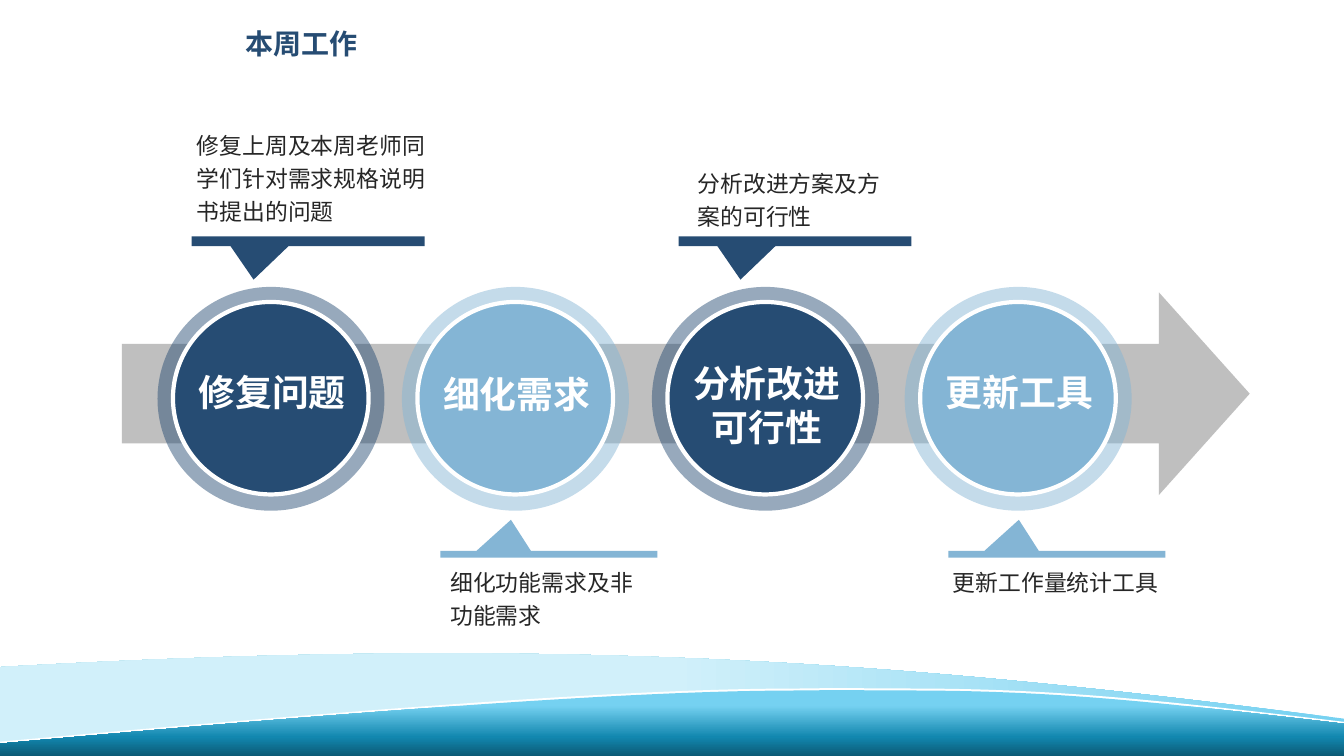
from lxml import etree
from pptx import Presentation, util as u
from pptx.dml.color import RGBColor
from pptx.enum import shapes, text
from pptx.oxml import parse_xml
from pptx.oxml.ns import nsdecls, qn

INK = {
    "navy": "264C73", "sky": "84B5D5", "grey": "BFBFBF", "white": "FFFFFF",
    "text": "262626", "pale": "D1F0FA", "aqua": "75D1F1", "teal": "1287AF",
    "deep": "0C5A75",
}
SANS = "Noto Sans CJK SC"
KIND = shapes.MSO_SHAPE


def shift(points, down):
    return [(x, y + down) for x, y in points]


def arcs(points):
    return [points[i:i + 3] for i in range(0, len(points), 3)]


class Deck:
    def __init__(self, wide, high):
        self.show = Presentation()
        self.show.slide_width = u.Cm(wide)
        self.show.slide_height = u.Cm(high)
        self.slide = self.show.slides.add_slide(self.show.slide_layouts[6])
        self.items = self.slide.shapes

    def color(self, name):
        return RGBColor.from_string(INK[name])

    def paint(self, item, fill, alpha=None, line=None):
        item.shadow.inherit = False
        item.fill.solid()
        item.fill.fore_color.rgb = self.color(fill)
        if alpha:
            tint = item._element.spPr.find(qn("a:solidFill"))[0]
            etree.SubElement(tint, qn("a:alpha"), val=str(alpha * 1000))
        if line:
            item.line.color.rgb = self.color(line)
            item.line.width = u.Pt(3)
        else:
            item.line.fill.background()

    def shape(self, kind, box, fill, adjust=(), turn=0, **look):
        item = self.items.add_shape(kind, *map(u.Cm, box))
        item.rotation = turn
        for i, value in enumerate(adjust):
            item.adjustments[i] = value
        self.paint(item, fill, **look)

    def wave(self, box, start, parts, fill, stops=(), angle=0):
        left, top, wide, high = map(u.Cm, box)
        pen = self.items.build_freeform(left, top)
        pen.add_line_segments([(left + wide, top), (left + wide, top + high),
                               (left, top + high)])
        item = pen.convert_to_shape()
        self.paint(item, fill)
        props = item._element.spPr
        track = next(props.iter(qn("a:path")))
        for node in list(track):
            track.remove(node)
        tags = {1: "a:lnTo", 3: "a:cubicBezTo"}
        moves = [("a:moveTo", [start])] + [(tags[len(part)], part) for part in parts]
        for tag, points in moves:
            move = etree.SubElement(track, qn(tag))
            for x, y in points:
                etree.SubElement(move, qn("a:pt"), x=str(u.Cm(x) - left),
                                 y=str(u.Cm(y) - top))
        etree.SubElement(track, qn("a:close"))
        if stops:
            marks = "".join(
                f'<a:gs pos="{at * 1000}"><a:srgbClr val="{INK[name]}"/></a:gs>'
                for at, name in stops)
            props.replace(props.find(qn("a:solidFill")), parse_xml(
                f'<a:gradFill {nsdecls("a")} rotWithShape="1"><a:gsLst>{marks}</a:gsLst>'
                f'<a:lin ang="{angle * 60000}" scaled="0"/></a:gradFill>'))

    def words(self, box, lines, size, color, font=SANS, bold=False,
              align=None, space=None, pad=(0.25, 0.13), wrap=True, grow=True):
        frame = self.items.add_textbox(*map(u.Cm, box)).text_frame
        frame.word_wrap = wrap
        if grow:
            frame.auto_size = text.MSO_AUTO_SIZE.SHAPE_TO_FIT_TEXT
        frame.margin_left = frame.margin_right = u.Cm(pad[0])
        frame.margin_top = frame.margin_bottom = u.Cm(pad[1])
        frame.text = lines
        for para in frame.paragraphs:
            para.alignment = align
            para.line_spacing = space
            para.font.size = u.Pt(size)
            para.font.bold = bold
            para.font.color.rgb = self.color(color)
            para.font.name = font
            props = para._p.pPr.find(qn("a:defRPr"))
            etree.SubElement(props, qn("a:ea"), typeface=SANS)

    def step(self, left, label, top, fill):
        self.shape(KIND.OVAL, (left, 7.23, 5.72, 5.64), fill, alpha=48)
        self.shape(KIND.OVAL, (left + 0.39, 7.61, 4.93, 4.85), fill, line="white")
        self.words((left - 0.26, top, 6.3, 1.98), label, 26.3, "white", bold=True,
                   align=text.PP_ALIGN.CENTER, grow=False)

    def flag(self, left, fill):
        if fill == "navy":
            box, tip = (left, 5.96, 5.87, 0.24), (-0.234, 4.033)
        else:
            box, tip = (left, 13.88, 5.47, 0.17), (-0.175, -5.095)
        self.shape(KIND.RECTANGULAR_CALLOUT, box, fill, tip)

    def note(self, box, line):
        self.words(box, line, 16.3, "text", space=1.2, pad=(0.33, 0.18))


def main():
    wide, high = 33.87, 19.05
    deck = Deck(wide, high)

    deck.wave((0, 16.46, wide, 2.36), (0, 16.81), [
        [(15.04, 15.95), (23.7, 16.81), (wide, 18.11)],
        [(wide, 18.69), (wide, 18.01), (wide, 18.62)],
        [(22.15, 16.28), (12.27, 18.24), (0, 18.82)],
        [(0, 16.81)],
    ], "pale", [(0, "aqua"), (50, "pale"), (100, "pale")], 180)

    crest = [(0, 18.69), (13.18, 17.5), (17.48, 17.35), (20.27, 17.35),
             (21.21, 17.33), (21.97, 17.35), (22.83, 17.35),
             (26.31, 17.35), (28.73, 17.58), (wide, 18.19)]
    under = shift(crest[::-1], 0.25)
    deck.wave((0, 17.35, wide, 1.6), crest[0],
              arcs(crest[1:]) + [under[:1]] + arcs(under[1:]) + [crest[:1]], "white")
    sea = shift(crest, 0.05)
    deck.wave((0, 17.4, wide, 1.65), sea[0],
              arcs(sea[1:]) + [[(wide, high)], [(0, high)]], "teal",
              [(23, "aqua"), (71, "teal"), (100, "deep")], 90)

    deck.words((5.93, 0.28, 3.35, 1.37), "本周工作", 20, "navy", font="Arial",
               bold=True, space=1.3, wrap=False)
    deck.shape(KIND.DOWN_ARROW, (14.73, -4.29, 5.11, 28.42), "grey",
               (0.491, 0.448), turn=270)

    for left, label, top, fill, bar, box, line in (
        (10.13, "细化需求", 9.23, "sky", 11.1, (11.02, 14.02, 5.46, 2.01),
         "细化功能需求及非功能需求"),
        (16.43, "分析改进\n可行性", 8.96, "navy", 17.1, (17.25, 3.96, 5.46, 2.01),
         "分析改进方案及方案的可行性"),
        (22.8, "更新工具", 9.18, "sky", 23.9, (23.68, 14.02, 5.87, 1.17),
         "更新工作量统计工具"),
        (3.97, "修复问题", 9.18, "navy", 4.83, (4.63, 3.01, 6.81, 2.84),
         "修复上周及本周老师同学们针对需求规格说明书提出的问题"),
    ):
        deck.step(left, label, top, fill)
        deck.flag(bar, fill)
        deck.note(box, line)

    deck.show.save("out.pptx")


if __name__ == "__main__":
    main()
